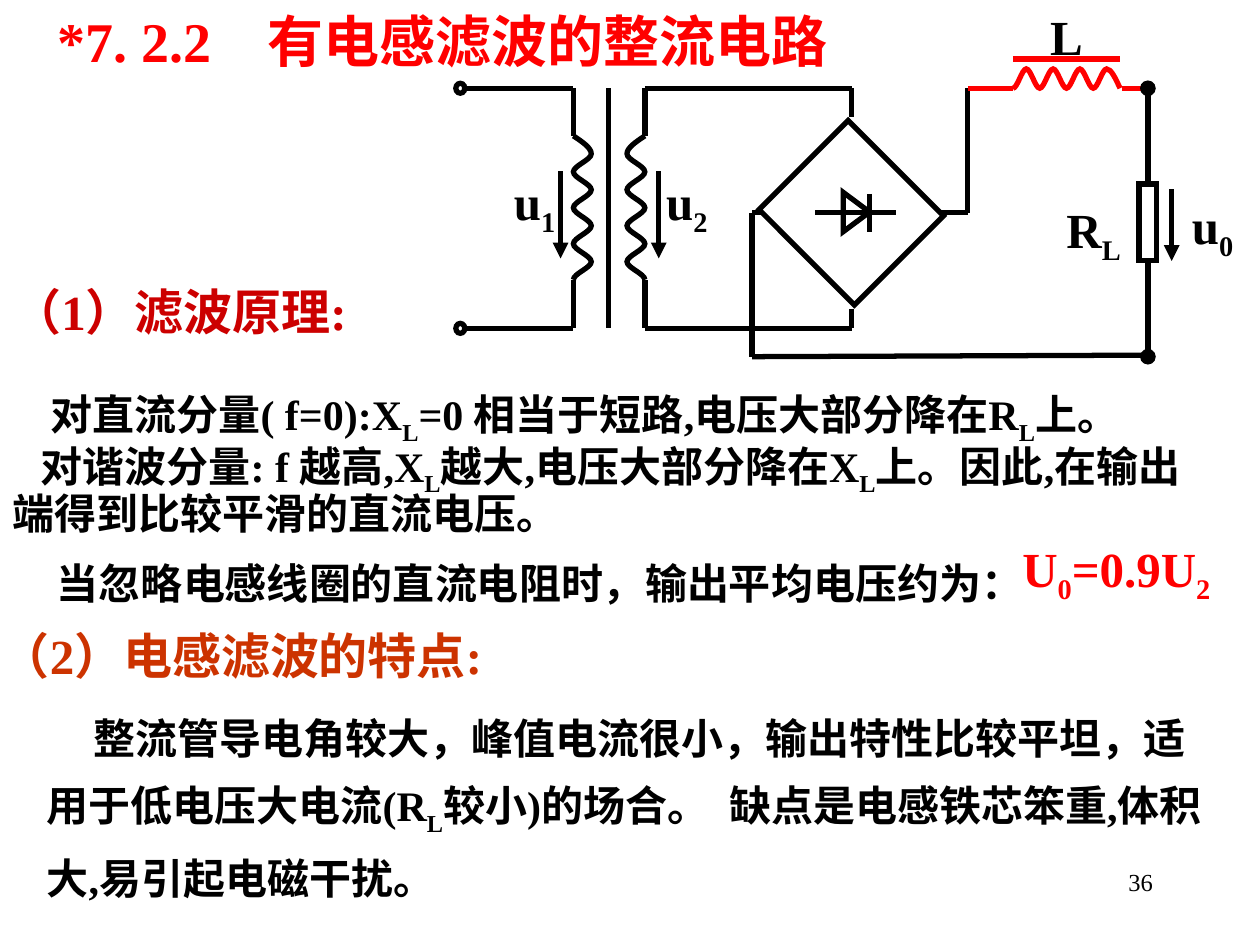
"""Build the slide on rectifier circuits with an inductor filter."""
from dataclasses import dataclass
from typing import Optional

import lxml.etree
import pptx
import pptx.dml.color
import pptx.enum.shapes
import pptx.enum.text
import pptx.oxml.ns
import pptx.util

Cm = pptx.util.Cm
Pt = pptx.util.Pt
RGBColor = pptx.dml.color.RGBColor
MSO_SHAPE = pptx.enum.shapes.MSO_SHAPE
MSO_ANCHOR = pptx.enum.text.MSO_ANCHOR
PP_ALIGN = pptx.enum.text.PP_ALIGN
qn = pptx.oxml.ns.qn

BLACK = RGBColor(0x00, 0x00, 0x00)
RED = RGBColor(0xFF, 0x00, 0x00)
DARK_RED = RGBColor(0xCC, 0x00, 0x00)
RUST = RGBColor(0xCC, 0x33, 0x00)

FONT = "Times New Roman"
STROKE = Pt(3)
TOP, BOTTOM, MIDDLE = 1.78, 6.62, 4.29
COIL_TOP, COIL_BOTTOM = 2.74, 5.64
PRIMARY, CORE, SECONDARY = 11.56, 12.27, 13.0
BRIDGE_X, BRIDGE_OUT, RETURN_X, RETURN_Y = 17.17, 19.51, 15.16, 7.19
CHOKE_LEFT, CHOKE_RIGHT, LOAD_X = 20.42, 22.58, 23.14


@dataclass
class Wire:
    x1: float
    y1: float
    x2: float
    y2: float
    color: RGBColor = BLACK
    end: Optional[str] = None


@dataclass
class Part:
    kind: MSO_SHAPE
    left: float
    top: float
    width: float
    height: float
    rotation: float = 0


@dataclass
class Coil:
    x1: float
    y1: float
    x2: float
    y2: float
    bulge_x: float
    bulge_y: float
    color: RGBColor = BLACK


@dataclass
class Run:
    text: str
    baseline: int = 0
    tracking: int = 0


@dataclass
class Line:
    runs: tuple
    indent: float = 0


@dataclass
class Text:
    left: float
    top: float
    width: float
    height: float
    lines: tuple
    size: float = 28
    color: RGBColor = BLACK
    bold: bool = True
    wrap: bool = True
    spacing: float = 1
    anchor: MSO_ANCHOR = MSO_ANCHOR.TOP
    align: PP_ALIGN = PP_ALIGN.LEFT


SUB_L, SUB_0, SUB_1, SUB_2 = (Run(mark, baseline=-25000) for mark in "L012")

WIRES = (
    [Wire(9.37, y, PRIMARY, y) for y in (TOP, BOTTOM)]
    + [Wire(SECONDARY, y, BRIDGE_X, y) for y in (TOP, BOTTOM)]
    + [Wire(x, y1, x, y2) for x in (PRIMARY, SECONDARY)
       for y1, y2 in ((TOP, COIL_TOP), (COIL_BOTTOM, BOTTOM))]
    + [Wire(x, 3.45, x, 5.21, end="triangle") for x in (11.3, 13.28)]
    + [
        Wire(CORE, TOP, CORE, BOTTOM),
        Wire(BRIDGE_X, TOP, BRIDGE_X, 2.36),
        Wire(BRIDGE_X, 6.22, BRIDGE_X, BOTTOM),
        Wire(16.43, MIDDLE, 18.06, MIDDLE),
        Wire(17.53, 3.91, 17.53, 4.67),
        Wire(15.34, MIDDLE, RETURN_X, MIDDLE),
        Wire(RETURN_X, MIDDLE, RETURN_X, RETURN_Y),
        Wire(RETURN_X, RETURN_Y, 23.06, 7.16),
        Wire(18.97, MIDDLE, BRIDGE_OUT, MIDDLE),
        Wire(BRIDGE_OUT, MIDDLE, BRIDGE_OUT, TOP),
        Wire(BRIDGE_OUT, TOP, CHOKE_LEFT, TOP, RED),
        Wire(CHOKE_LEFT, 1.19, CHOKE_RIGHT, 1.19, RED),
        Wire(22.61, TOP, 23.11, TOP, RED),
        Wire(23.62, 3.81, 23.62, 5.26, end="triangle"),
    ]
)
COILS = [
    Coil(PRIMARY, COIL_TOP, PRIMARY, COIL_BOTTOM, 0.36, 0),
    Coil(SECONDARY, COIL_TOP, SECONDARY, COIL_BOTTOM, -0.36, 0),
    Coil(CHOKE_RIGHT, TOP, CHOKE_LEFT, TOP, 0, -0.39, RED),
]
PARTS = [
    Part(MSO_SHAPE.OVAL, 9.19, TOP - 0.1, 0.18, 0.2),
    Part(MSO_SHAPE.OVAL, 9.19, BOTTOM - 0.1, 0.18, 0.2),
    Part(MSO_SHAPE.RECTANGLE, 15.8, 3.02, 2.72, 2.54, 45),
    Part(MSO_SHAPE.ISOSCELES_TRIANGLE, 16.87, 4.01, 0.79, 0.53, 90),
]
LOAD = Part(MSO_SHAPE.RECTANGLE, LOAD_X - 0.18, 3.71, 0.36, 1.55)

TEXTS = [
    Text(0.91, 0, 21.59, 1.63,
         (Line((Run("*7. 2.2"), Run(" ", tracking=2400), Run("有电感滤波的整流电路"))),),
         32, RED, anchor=MSO_ANCHOR.MIDDLE),
    Text(0, 5.56, 10.24, 1.57, (Line((Run("（1）滤波原理:"),)),), color=DARK_RED),
    Text(0, 7.73, 24.51, 3.25, (
        Line((Run("对直流分量( f=0):X"), SUB_L, Run("=0 相当于短路,电压大部分降在R"), SUB_L,
              Run("上。")), 0.77),
        Line((Run("对谐波分量: f 越高,X"), SUB_L, Run("越大,电压大部分降在X"), SUB_L,
              Run("上。因此,在输出端得到比较平滑的直流电压。")), 0.57),
    ), 24, spacing=0.9),
    Text(20.36, 10.73, 4.29, 1.6, (Line((Run("U"), SUB_0, Run("=0.9U"), SUB_2)),),
         color=RED, wrap=False),
    Text(0.69, 11.12, 24.1, 1.27, (Line((Run("当忽略电感线圈的直流电阻时，输出平均电压约为："),), 0.21),),
         24, anchor=MSO_ANCHOR.MIDDLE),
    Text(-0.23, 12.48, 10.92, 1.45, (Line((Run("（2）电感滤波的特点:"),)),), color=RUST, wrap=False),
    Text(0.69, 13.93, 23.8, 4.39, (
        Line((Run("整流管导电角较大，峰值电流很小，输出特性比较平坦，适用于低电压大电流(R"), SUB_L,
              Run("较小)的场合。"), Run(" ", tracking=600),
              Run("缺点是电感铁芯笨重,体积大,易引起电磁干扰。")), 0.95),
    ), 24, spacing=1.3),
    Text(10.11, 3.33, 2.06, 1.6, (Line((Run("u"), SUB_1)),)),
    Text(13.18, 3.33, 1.88, 1.6, (Line((Run("u"), SUB_2)),)),
    Text(21.25, 3.89, 2.06, 1.6, (Line((Run("R"), SUB_L)),)),
    Text(20.92, 0, 1.17, 1.45, (Line((Run("L"),)),), wrap=False),
    Text(23.78, 3.81, 1.63, 1.6, (Line((Run("u"), SUB_0)),)),
    Text(18.21, 17.35, 5.28, 1.27, (Line((Run("36"),)),), 14, bold=False, align=PP_ALIGN.RIGHT),
]


def draw_wire(shapes, wire: Wire):
    """Draw a straight wire with an optional end mark."""
    connector = shapes.add_connector(pptx.enum.shapes.MSO_CONNECTOR.STRAIGHT,
                                     Cm(wire.x1), Cm(wire.y1), Cm(wire.x2), Cm(wire.y2))
    connector.line.color.rgb = wire.color
    connector.line.width = STROKE
    properties = connector._element.spPr
    if wire.end:
        lxml.etree.SubElement(properties.find(qn("a:ln")), qn("a:tailEnd"), type=wire.end)
    lxml.etree.SubElement(properties, qn("a:effectLst"))
    return connector


def outline(shape, color: RGBColor = BLACK) -> None:
    """Leave only a sharp-cornered outline on a shape."""
    shape.shadow.inherit = False
    shape.fill.background()
    shape.line.color.rgb = color
    shape.line.width = STROKE
    lxml.etree.SubElement(shape._element.spPr.find(qn("a:ln")), qn("a:miter"), lim="800000")


def draw_part(shapes, part: Part):
    """Draw an outlined circuit part."""
    shape = shapes.add_shape(part.kind, Cm(part.left), Cm(part.top), Cm(part.width), Cm(part.height))
    shape.rotation = part.rotation
    outline(shape)
    return shape


def draw_coil(shapes, coil: Coil, turns: int = 4) -> None:
    """Draw a winding as curves between its inner and outer turning points."""
    knots = [(Cm(coil.x1 + (coil.x2 - coil.x1) * i / (2 * turns) + coil.bulge_x * (i % 2)),
              Cm(coil.y1 + (coil.y2 - coil.y1) * i / (2 * turns) + coil.bulge_y * (i % 2)))
             for i in range(2 * turns + 1)]
    builder = shapes.build_freeform(*knots[0])
    builder.add_line_segments(knots[1:], close=False)
    winding = builder.convert_to_shape()
    outline(winding, coil.color)
    axis = 1 if coil.bulge_x else 0
    start, *segments = winding._element.spPr.iter(qn("a:moveTo"), qn("a:lnTo"))
    before = [int(start[0].get(key)) for key in "xy"]
    for number, segment in enumerate(segments):
        after = [int(segment[0].get(key)) for key in "xy"]
        shares = [[0 if number else 0.5, 1], [0 if number else 0.5, 1]]
        shares[axis] = [1 / 3, 2 / 3]
        curve = lxml.etree.Element(qn("a:cubicBezTo"))
        for control in range(2):
            x, y = (round(a + (b - a) * share[control]) for a, b, share in zip(before, after, shares))
            lxml.etree.SubElement(curve, qn("a:pt"), x=str(x), y=str(y))
        curve.append(segment[0])
        segment.getparent().replace(segment, curve)
        before = after


def draw_text(shapes, text: Text) -> None:
    """Draw a text box run by run."""
    frame = shapes.add_textbox(Cm(text.left), Cm(text.top), Cm(text.width), Cm(text.height)).text_frame
    frame.word_wrap = text.wrap
    frame.vertical_anchor = text.anchor
    for number, line in enumerate(text.lines):
        paragraph = frame.add_paragraph() if number else frame.paragraphs[0]
        paragraph.alignment = text.align
        paragraph.line_spacing = text.spacing
        paragraph._p.get_or_add_pPr().set("indent", str(Cm(line.indent)))
        for piece in line.runs:
            run = paragraph.add_run()
            run.text = piece.text
            run.font.name = FONT
            run.font.size = Pt(text.size)
            run.font.bold = text.bold
            run.font.color.rgb = text.color
            for name, value in (("baseline", piece.baseline), ("spc", piece.tracking)):
                if value:
                    run._r.get_or_add_rPr().set(name, str(value))


def main() -> None:
    """Assemble and save the slide."""
    deck = pptx.Presentation()
    deck.slide_width, deck.slide_height = Cm(25.4), Cm(19.05)
    shapes = deck.slides.add_slide(deck.slide_layouts[6]).shapes
    for draw, items in ((draw_wire, WIRES), (draw_coil, COILS), (draw_part, PARTS)):
        for item in items:
            draw(shapes, item)
    load = draw_part(shapes, LOAD)
    for side, start, end in ((0, LOAD.top, TOP), (2, LOAD.top + LOAD.height, RETURN_Y)):
        draw_wire(shapes, Wire(LOAD_X, start, LOAD_X, end, end="oval")).begin_connect(load, side)
    for text in TEXTS:
        draw_text(shapes, text)
    deck.save("out.pptx")


if __name__ == "__main__":
    main()
